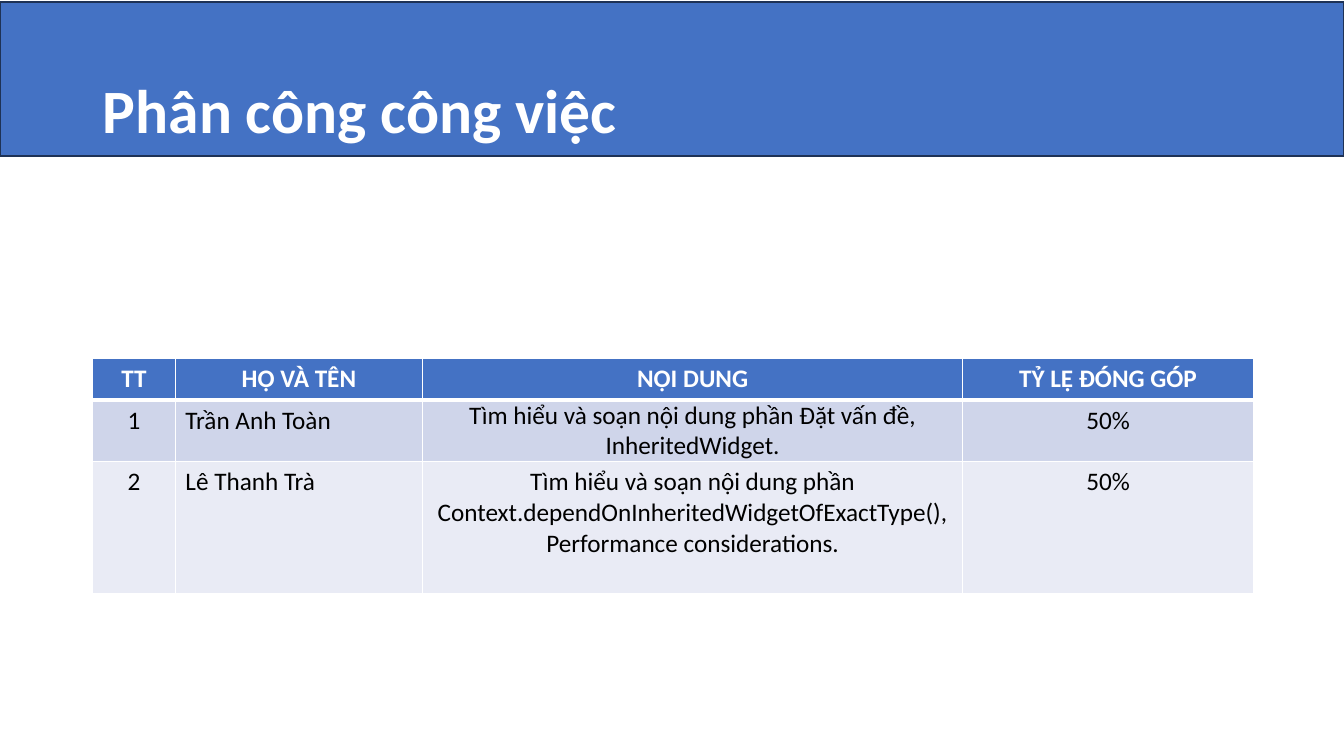
from dataclasses import dataclass

from lxml.etree import SubElement
from pptx import Presentation
from pptx.dml.color import RGBColor as RGB
from pptx.enum.shapes import MSO_SHAPE as SHAPE
from pptx.enum.text import MSO_ANCHOR as ANCHOR, MSO_AUTO_SIZE as AUTOSIZE, PP_ALIGN as ALIGN
from pptx.oxml.ns import qn
from pptx.util import Inches, Pt


@dataclass(frozen=True)
class Theme:
    font: str = "Calibri"
    title_size: int = 44
    table_size: int = 18
    accent: str = "4472C4"
    outline: str = "1E3256"
    white: str = "FFFFFF"
    text: str = "000000"
    bands: tuple = ("CFD5EA", "E9EBF5")


class SlideBuilder:
    def __init__(self, prs, theme):
        self.theme = theme
        self.slide = prs.slides.add_slide(prs.slide_layouts[5])

    def style(self, p, size, color, bold=False, align=ALIGN.LEFT):
        p.alignment = align
        for r in p.runs:
            r.font.name = self.theme.font
            r.font.size = Pt(size)
            r.font.bold = bold
            r.font.color.rgb = RGB.from_string(color)

    def title(self, text, x, y, w, h):
        s = self.slide.shapes.title
        s.left, s.top, s.width, s.height = map(Inches, (x, y, w, h))
        tf = s.text_frame
        tf.text = text
        tf.word_wrap = True
        tf.auto_size = AUTOSIZE.NONE
        tf.vertical_anchor = ANCHOR.MIDDLE
        p = tf.paragraphs[0]
        p.line_spacing = 0.9
        self.style(p, self.theme.title_size, self.theme.white, bold=True)

    def banner(self, x, y, w, h):
        s = self.slide.shapes.add_shape(SHAPE.RECTANGLE, *map(Inches, (x, y, w, h)))
        s.shadow.inherit = False
        s.fill.solid()
        s.fill.fore_color.rgb = RGB.from_string(self.theme.accent)
        s.line.color.rgb = RGB.from_string(self.theme.outline)
        s.line.width = Pt(1)
        # The banner lies behind the title
        self.slide.shapes.title.element.addprevious(s.element)

    def borders(self, cell, widths):
        tc_pr = cell._tc.get_or_add_tcPr()
        for side, width in widths.items():
            ln = SubElement(tc_pr, qn(f"a:ln{side}"), w=str(Pt(width)))
            fill = SubElement(ln, qn("a:solidFill"))
            SubElement(fill, qn("a:srgbClr"), val=self.theme.white)

    def table(self, rows, x, y, col_widths, row_heights, aligns):
        size = sum(col_widths), sum(row_heights)
        frame = self.slide.shapes.add_table(
            len(rows), len(col_widths), *map(Inches, (x, y, *size)))
        table = frame.table
        for col, width in zip(table.columns, col_widths):
            col.width = Inches(width)
        for i, (row, height, texts) in enumerate(zip(table.rows, row_heights, rows)):
            row.height = Inches(height)
            header = i == 0
            fill = self.theme.accent if header else self.theme.bands[(i - 1) % 2]
            color = self.theme.white if header else self.theme.text
            widths = {"L": 1, "R": 1, "T": 3 if i == 1 else 1, "B": 3 if header else 1}
            for cell, text, align in zip(row.cells, texts, aligns):
                self.borders(cell, widths)
                cell.fill.solid()
                cell.fill.fore_color.rgb = RGB.from_string(fill)
                cell.text_frame.text = text
                self.style(cell.text_frame.paragraphs[0], self.theme.table_size, color,
                           bold=header, align=ALIGN.CENTER if header else align)
        return table


def main():
    prs = Presentation()
    prs.slide_width, prs.slide_height = Inches(13.33), Inches(7.5)
    page = SlideBuilder(prs, Theme())

    # Heading
    page.title("Phân công công việc", 0.92, 0.4, 11.5, 1.45)
    page.banner(0, 0.02, 13.33, 1.53)

    # Work assignment table
    rows = [
        ("TT", "HỌ VÀ TÊN", "NỘI DUNG", "TỶ LỆ ĐÓNG GÓP"),
        ("1", "Trần Anh Toàn",
         "Tìm hiểu và soạn nội dung phần Đặt vấn đề, InheritedWidget.", "50%"),
        ("2", "Lê Thanh Trà",
         "Tìm hiểu và soạn nội dung phần Context.dependOnInheritedWidgetOfExactType(), "
         "Performance considerations.", "50%"),
    ]
    table = page.table(rows, 0.92, 3.56, (0.82, 2.45, 5.36, 2.88), (0.41, 0.61, 1.31),
                       (ALIGN.CENTER, ALIGN.LEFT, ALIGN.CENTER, ALIGN.CENTER))

    # The first task fills its cell without margins
    task = table.cell(1, 2)
    task.margin_left = task.margin_right = task.margin_top = task.margin_bottom = 0

    prs.save("out.pptx")


if __name__ == "__main__":
    main()
